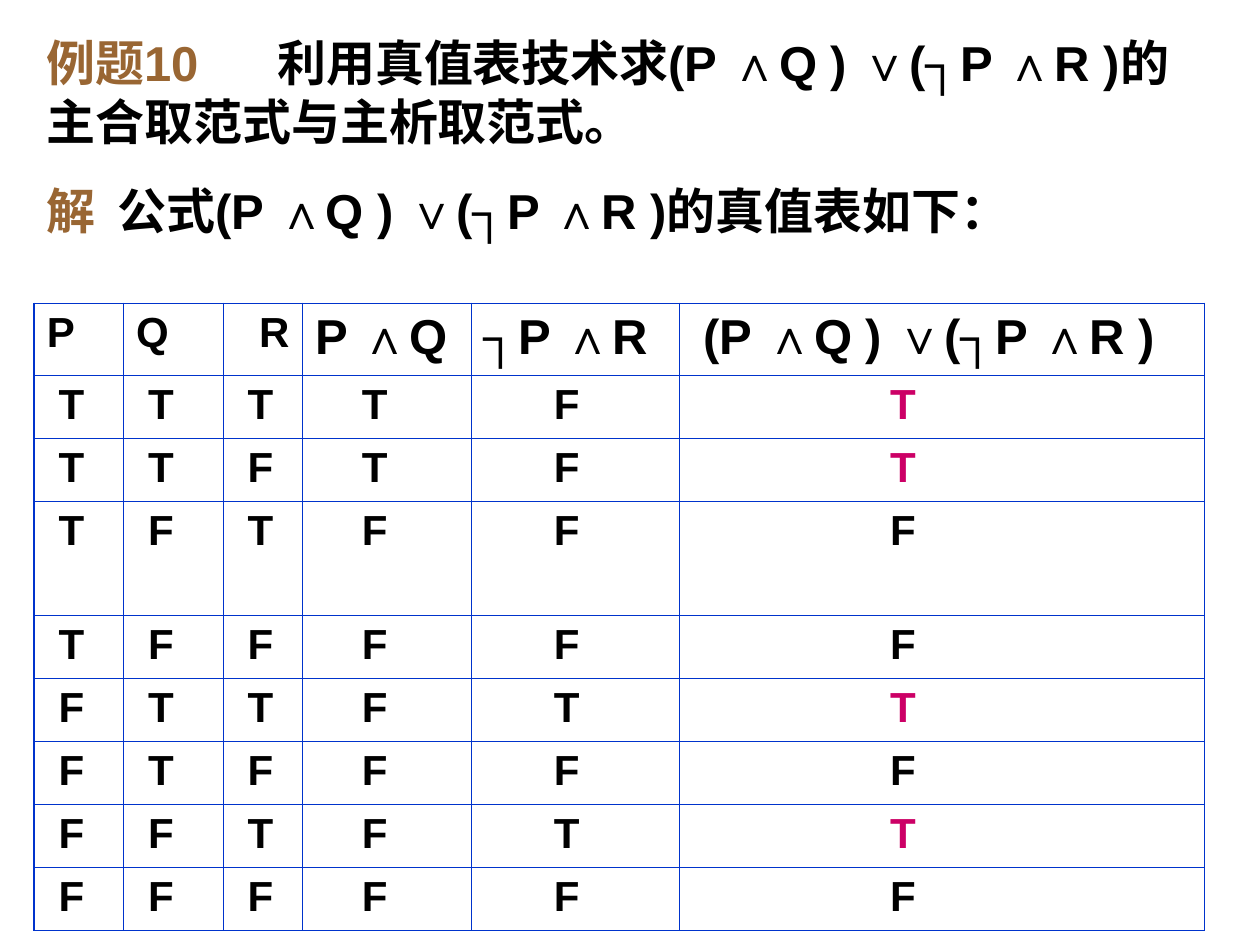
from itertools import product

from pptx import Presentation
from pptx import util as u
from pptx.dml.color import RGBColor
from pptx.enum import text
from pptx.oxml.ns import qn
from lxml import etree

FONT = "Arial"
BLACK, BROWN, PINK, BLUE = "000000", "996633", "CC0066", "0033CC"
FORMULA = "(P ∧Q ) ∨(┐P ∧R )"
HEADINGS = ["P", "Q", "R", "P ∧Q", "┐P ∧R", FORMULA]
WIDTHS = [1.8, 2.01, 1.6, 3.4, 4.19, 10.59]
HEADING_INDENTS = [0, 0, 0.47, 0, 0, 0.24]
VALUE_INDENTS = [0.24, 0.24, 0.24, 0.94, 1.41, 4]
HEADING_HEIGHT, ROW_HEIGHT, TALL_ROW_HEIGHT, TALL_ROW = 1.45, 1.27, 2.29, 3
OUTER_LINE, INNER_LINE = 1.08, 0.45


def color(value):
    return RGBColor.from_string(value)


def add_text(para, content, size=28, fill=BLACK):
    span = para.add_run()
    span.text = content
    span.font.name = FONT
    span.font.size = u.Pt(size)
    span.font.bold = True
    span.font.color.rgb = color(fill)


def add_tab_stop(para, position):
    stops = etree.SubElement(para._p.get_or_add_pPr(), qn("a:tabLst"))
    etree.SubElement(stops, qn("a:tab"), pos=str(u.Cm(position)), algn="l")


def add_statement(page):
    box = page.shapes.add_textbox(u.Cm(0.69), u.Cm(0.53), u.Cm(23.8), u.Cm(4.45))
    frame = box.text_frame
    frame.word_wrap = True
    frame.auto_size = text.MSO_AUTO_SIZE.SHAPE_TO_FIT_TEXT
    lines = [
        ("例题10", f"利用真值表技术求{FORMULA}的主合取范式与主析取范式。", 4.65),
        ("解", f"公式{FORMULA}的真值表如下：", 1.43),
    ]
    for index, (label, content, stop) in enumerate(lines):
        para = frame.add_paragraph() if index else frame.paragraphs[0]
        if index:
            para.space_before = u.Pt(17.5)
        add_tab_stop(para, stop)
        add_text(para, label, fill=BROWN)
        add_text(para, "\t" + content)


def set_border(cell, side, width):
    line = etree.SubElement(
        cell._tc.get_or_add_tcPr(), qn(f"a:ln{side}"), w=str(u.Pt(width))
    )
    fill = etree.SubElement(line, qn("a:solidFill"))
    etree.SubElement(fill, qn("a:srgbClr"), val=BLUE)


def fill_cell(cell, content, indent, outer, **style):
    para = cell.text_frame.paragraphs[0]
    properties = para._p.get_or_add_pPr()
    properties.set("marL", str(u.Cm(indent)))
    properties.set("indent", "0")
    add_text(para, content, **style)
    for side in "LRTB":
        set_border(cell, side, OUTER_LINE if side in outer else INNER_LINE)
    cell.fill.background()


def truth_rows():
    for p, q, r in product([True, False], repeat=3):
        left, right = p and q, not p and r
        values = [p, q, r, left, right, left or right]
        yield ["T" if value else "F" for value in values]


def add_truth_table(page):
    rows = [HEADINGS, *truth_rows()]
    heights = [HEADING_HEIGHT] + [ROW_HEIGHT] * (len(rows) - 1)
    heights[TALL_ROW] = TALL_ROW_HEIGHT
    table = page.shapes.add_table(
        len(rows), len(WIDTHS), u.Cm(0.69), u.Cm(6.12),
        u.Cm(sum(WIDTHS)), u.Cm(sum(heights)),
    ).table
    table.first_row = table.horz_banding = False
    for column, width in zip(table.columns, WIDTHS):
        column.width = u.Cm(width)
    for row, height in zip(table.rows, heights):
        row.height = u.Cm(height)
    last_row, last_column = len(rows) - 1, len(WIDTHS) - 1
    for i, values in enumerate(rows):
        indents = VALUE_INDENTS if i else HEADING_INDENTS
        for j, value in enumerate(values):
            edges = {"L": j == 0, "R": j == last_column, "T": i == 0, "B": i == last_row}
            fill_cell(
                table.cell(i, j), value, indents[j],
                [side for side, is_outer in edges.items() if is_outer],
                size=28 if i == 0 and j > 2 else 24,
                fill=PINK if j == last_column and value == "T" else BLACK,
            )


def main():
    deck = Presentation()
    deck.slide_width, deck.slide_height = u.Cm(25.4), u.Cm(19.05)
    page = deck.slides.add_slide(deck.slide_layouts[6])
    add_statement(page)
    add_truth_table(page)
    deck.save("out.pptx")


if __name__ == "__main__":
    main()
